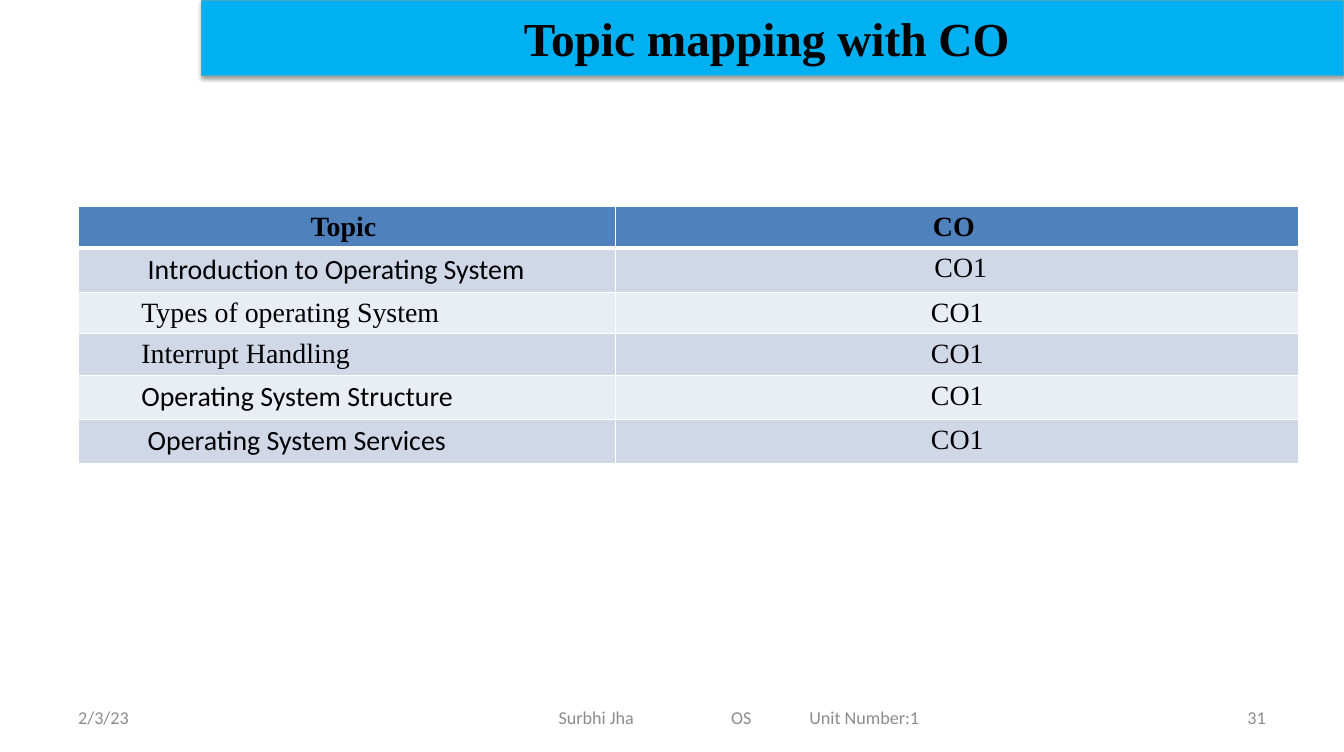
from pptx import Presentation
from pptx.util import Pt
from pptx.dml.color import RGBColor as RGB
from pptx.enum.shapes import MSO_SHAPE as Kind
from pptx.enum.text import PP_ALIGN as Al, MSO_ANCHOR as Anc
from pptx.oxml import parse_xml as xml
from pptx.oxml.ns import nsdecls

PX = 9144  # 100 px to the inch
theme = {
    "serif": "Times New Roman", "sans": "Calibri",
    "big": 34, "body": 20, "small": 13,
    "ink": "000000", "gray": "8C8C8C", "white": "FFFFFF",
    "bar": "00B0F0", "edge": "46AAC5", "head": "4F81BD",
    "bands": ("D0D8E8", "E9EDF4"),
}
NS = nsdecls("a")


def style(para, face, size, color="ink", bold=False, align=Al.LEFT):
    para.alignment = align
    for run in para.runs:
        font = run.font
        font.name, font.size, font.bold = theme[face], Pt(theme[size]), bold
        font.color.rgb = RGB.from_string(theme[color])


def inset(area, side, top, base):
    area.margin_left = area.margin_right = side * PX
    area.margin_top, area.margin_bottom = top * PX, base * PX


deck = Presentation()
deck.slide_width, deck.slide_height = 1340 * PX, 750 * PX
slide = deck.slides.add_slide(deck.slide_layouts[6])
shapes = slide.shapes

# Footer: date, course line with tab stops, page number
feet = [
    (67, 313, "2/3/23", Al.LEFT, ()),
    (368, 737, "Surbhi Jha\tOS\tUnit Number:1", Al.LEFT, (172, 250)),
    (960, 313, "31", Al.RIGHT, ()),
]
for left, width, text, align, stops in feet:
    box = shapes.add_textbox(left * PX, 695 * PX, width * PX, 40 * PX)
    frame = box.text_frame
    frame.word_wrap, frame.vertical_anchor = True, Anc.MIDDLE
    inset(frame, 11, 5, 5)
    frame.text = text
    para = frame.paragraphs[0]
    if stops:
        frame.margin_left = 189 * PX
        tabs = "".join(f'<a:tab pos="{stop * PX}" algn="l"/>' for stop in stops)
        para._p.get_or_add_pPr().append(xml(f"<a:tabLst {NS}>{tabs}</a:tabLst>"))
    style(para, "sans", "small", "gray", align=align)

# Title bar with a soft shadow below
bar = shapes.add_shape(Kind.RECTANGLE, 201 * PX, 0, 1139 * PX, 75 * PX)
bar.fill.solid()
bar.fill.fore_color.rgb = RGB.from_string(theme["bar"])
bar.line.color.rgb = RGB.from_string(theme["edge"])
bar.line.width = Pt(0.75)
bar.shadow.inherit = False
bar._element.spPr.find("{*}effectLst").append(xml(
    f'<a:outerShdw {NS} blurRad="{Pt(3.1)}" dist="{Pt(1.6)}" dir="5400000" rotWithShape="0">'
    f'<a:srgbClr val="{theme["ink"]}"><a:alpha val="38000"/></a:srgbClr></a:outerShdw>'))
frame = bar.text_frame
frame.text = "Topic mapping with CO "
frame.vertical_anchor = Anc.MIDDLE
style(frame.paragraphs[0], "serif", "big", bold=True, align=Al.CENTER)

# Topic table: topic, outcome, topic face, row height
rows = [
    ("Topic ", "CO ", "serif", 40),
    (" Introduction to Operating System", " CO1", "sans", 44),
    ("Types of operating System", "CO1", "serif", 41),
    ("Interrupt Handling", "CO1", "serif", 41),
    ("Operating System Structure", "CO1", "sans", 44),
    (" Operating System Services", "CO1", "sans", 44),
]
high = sum(row[3] for row in rows)
grid = shapes.add_table(len(rows), 2, 78 * PX, 206 * PX, 1217 * PX, high * PX).table
for col, width in enumerate((536, 681)):
    grid.columns[col].width = width * PX

for r, (topic, code, face, height) in enumerate(rows):
    grid.rows[r].height = height * PX
    top = r == 0
    for c, text in enumerate((topic, code)):
        cell = grid.cell(r, c)
        cell.text = text
        inset(cell, 13, 5, 3)
        para = cell.text_frame.paragraphs[0]
        mid = top or c == 1
        if not mid:
            para._p.get_or_add_pPr().set("marL", str(50 * PX))
        style(para, "serif" if mid else face, "body", bold=top,
              align=Al.CENTER if mid else Al.LEFT)
        cell.fill.solid()
        tint = theme["head"] if top else theme["bands"][(r - 1) % 2]
        cell.fill.fore_color.rgb = RGB.from_string(tint)
        # White rules, thicker around the header's lower edge
        for n, side in enumerate("LRTB"):
            thick = (top and side == "B") or (r == 1 and side == "T")
            cell._tc.get_or_add_tcPr().insert(n, xml(
                f'<a:ln{side} {NS} w="{Pt(3 if thick else 1)}"><a:solidFill>'
                f'<a:srgbClr val="{theme["white"]}"/></a:solidFill></a:ln{side}>'))

deck.save("out.pptx")
